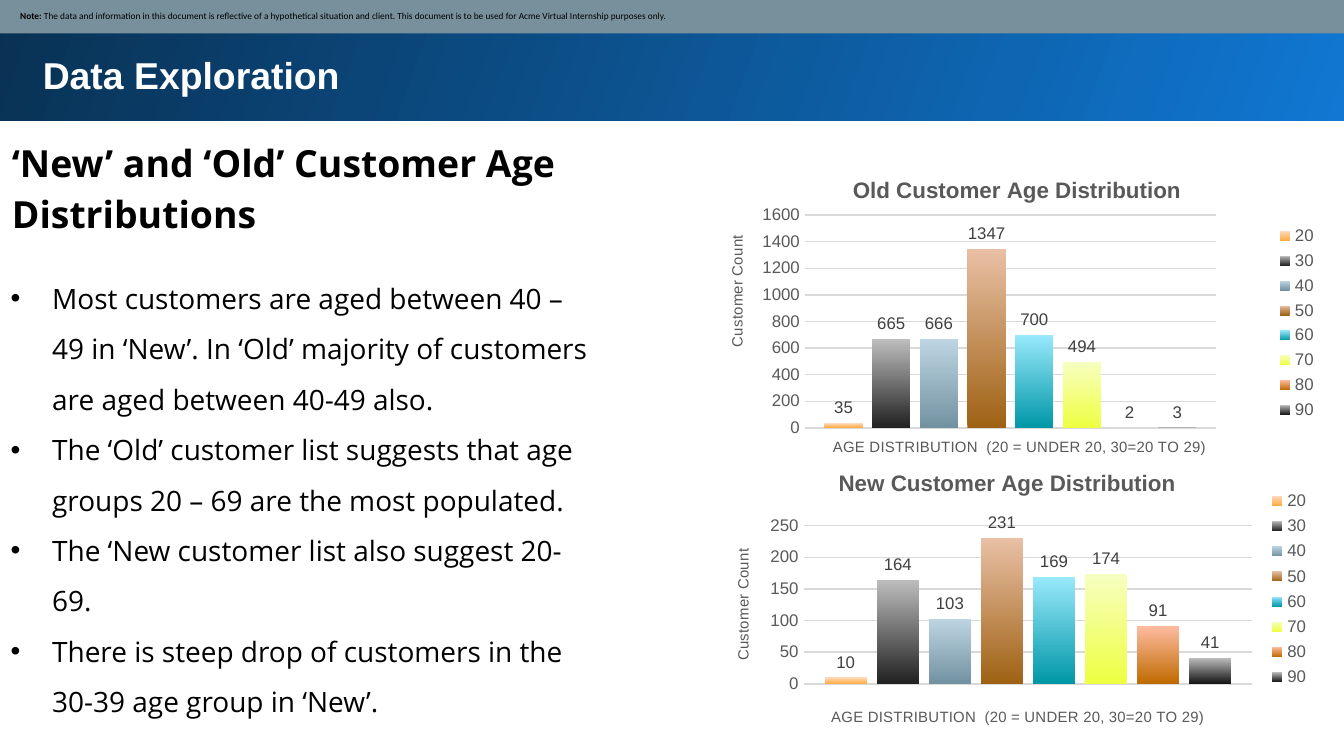
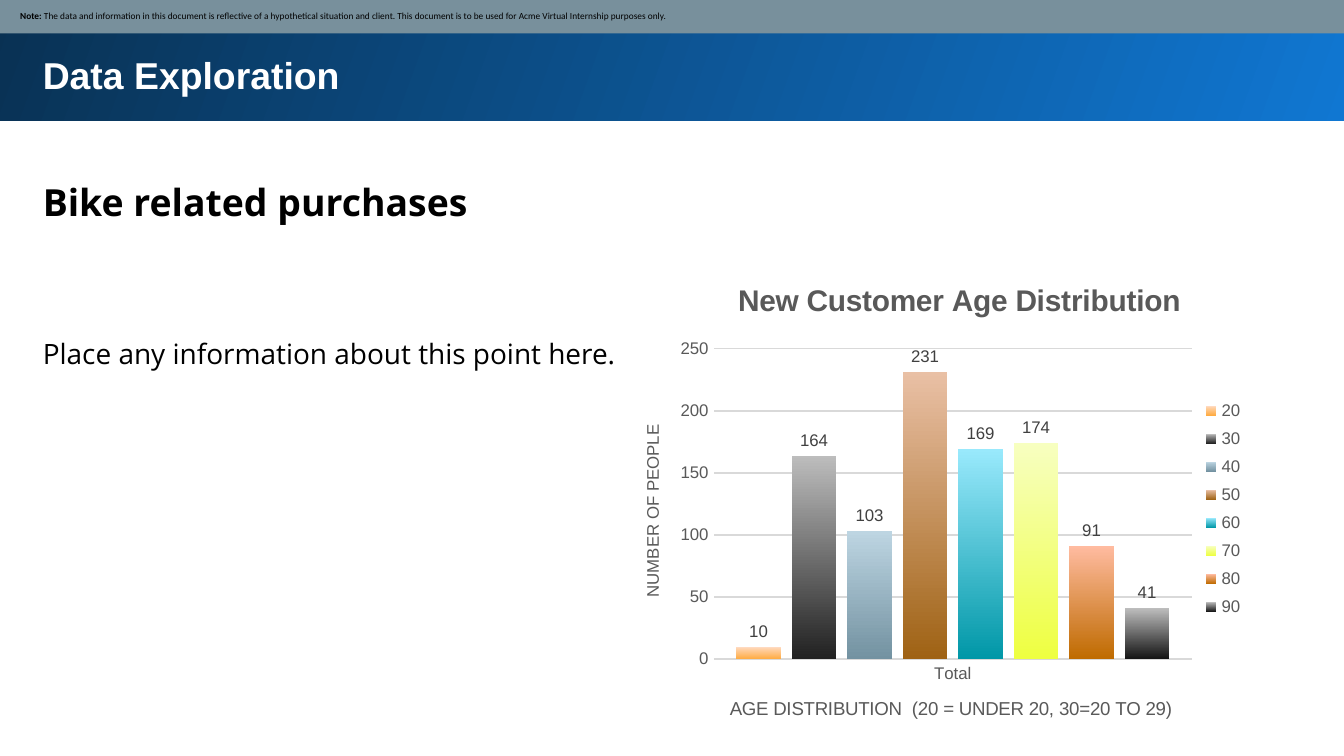
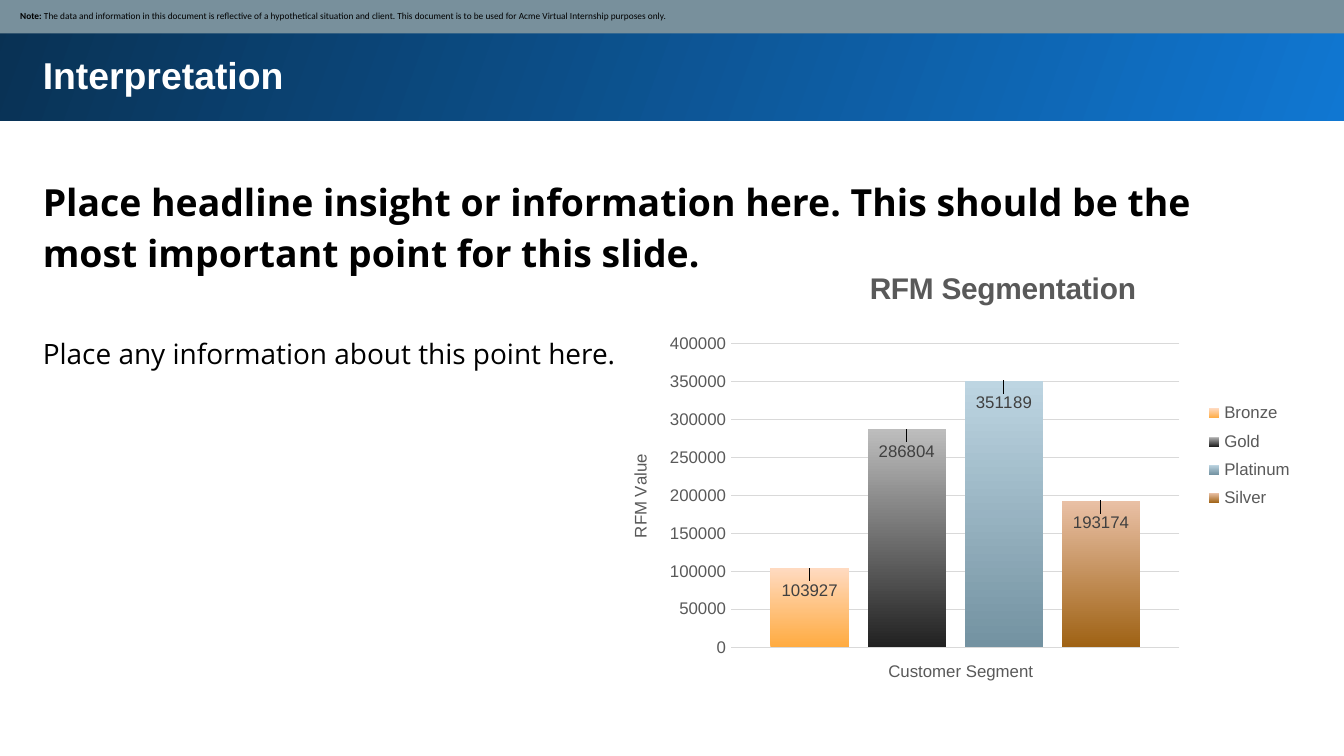
from lxml.etree import SubElement
from pptx import Presentation
from pptx.chart.data import CategoryChartData
from pptx.dml.color import RGBColor
from pptx.enum.chart import (XL_CHART_TYPE, XL_LABEL_POSITION,
                             XL_LEGEND_POSITION, XL_TICK_MARK)
from pptx.enum.shapes import MSO_SHAPE
from pptx.enum.text import MSO_ANCHOR, PP_ALIGN
from pptx.oxml import parse_xml
from pptx.oxml.ns import nsdecls, qn
from pptx.util import Inches, Pt

COLORS = {
    "white": "FFFFFF", "black": "000000", "note": "78909C",
    "band_light": "1077D2", "band_dark": "093153",
    "chart_text": "595959", "label": "404040", "grid": "D9D9D9",
}
# Bottom and top colour of each column
COLUMN_FILLS = [
    ("FFAB40", "FFDAC0"), ("212121", "BDBDBD"), ("7392A1", "BDD5E2"),
    ("9F6214", "E9C0A5"), ("0097A7", "99E9FC"), ("EEFF41", "F7FFC0"),
    ("BF6B00", "FFBBA0"), ("141414", "BDBDBD"),
]
HEADLINE = {"size": Pt(20), "name": "Open Sans", "bold": True}
BODY = {"size": Pt(15), "name": "Open Sans"}
TITLE = {"size": Pt(20), "name": "Arial", "bold": True}
NOTE = {"size": Pt(5), "name": "Calibri"}
CHART_TEXT = {"size": Pt(9), "name": "Arial"}
NOTE_TEXT = ("The data and information in this document is reflective of a "
             "hypothetical situation and client. This document is to be used "
             "for Acme Virtual Internship purposes only.")
PLACEHOLDER = "Place any information about this point here."

AGES = ["20", "30", "40", "50", "60", "70", "80", "90"]
OLD_COUNTS = [35, 665, 666, 1347, 700, 494, 2, 3]
NEW_COUNTS = [10, 164, 103, 231, 169, 174, 91, 41]
AGE_AXIS = "AGE DISTRIBUTION  (20 = UNDER 20, 30=20 TO 29)"
SEGMENTS = ["Bronze", "Gold", "Platinum", "Silver"]
RFM_VALUES = [103927, 286804, 351189, 193174]


def rgb(key):
    """Return a colour by palette name or hex string."""
    return RGBColor.from_string(COLORS.get(key, key))


def style_font(font, formats, color):
    """Set the font attributes and colour."""
    for name, value in formats.items():
        setattr(font, name, value)
    font.color.rgb = rgb(color)


def gradient(fill, start, end, angle):
    """Set a two-colour gradient; the angle runs clockwise."""
    fill.gradient()
    fill.gradient_angle = 360 - angle
    for stop, color in zip(fill.gradient_stops, (start, end)):
        stop.color.rgb = rgb(color)


def add_band(s, left, top, width, height):
    """Add a plain rectangle without line or shadow."""
    sp = s.shapes.add_shape(MSO_SHAPE.RECTANGLE, Inches(left), Inches(top),
                            Inches(width), Inches(height))
    sp.shadow.inherit = False
    sp.line.fill.background()
    return sp


def add_text(s, box, paragraphs, formats, color="black", spacing=1.15,
             bullets=False):
    """Add a wrapping text box, with bullets if asked."""
    tf = s.shapes.add_textbox(*map(Inches, box)).text_frame
    tf.word_wrap = True
    for side in ("left", "right", "top", "bottom"):
        setattr(tf, "margin_" + side, Inches(0.1))
    for i, text in enumerate(paragraphs):
        p = tf.add_paragraph() if i else tf.paragraphs[0]
        p.line_spacing = spacing
        r = p.add_run()
        r.text = text
        style_font(r.font, formats, color)
        if bullets:
            pPr = p._p.get_or_add_pPr()
            pPr.set("marL", str(Inches(0.31)))
            pPr.set("indent", str(-Inches(0.31)))
            SubElement(pPr, qn("a:buFont"), typeface="Arial")
            SubElement(pPr, qn("a:buChar"), char="•")


def add_note(s):
    """Add the disclaimer strip along the top edge."""
    sp = add_band(s, -0.01, -0.01, 10.03, 0.26)
    sp.fill.solid()
    sp.fill.fore_color.rgb = rgb("note")
    tf = sp.text_frame
    tf.word_wrap = True
    tf.vertical_anchor = MSO_ANCHOR.MIDDLE
    for side, inset in dict(left=0.16, right=0.05, top=0.05, bottom=0.05).items():
        setattr(tf, "margin_" + side, Inches(inset))
    p = tf.paragraphs[0]
    p.alignment = PP_ALIGN.LEFT
    for text, bold in (("Note: ", True), (NOTE_TEXT, False)):
        r = p.add_run()
        r.text = text
        style_font(r.font, {**NOTE, "bold": bold}, "black")


def add_base(prs, title):
    """Add a slide with title band, title and note strip."""
    s = prs.slides.add_slide(prs.slide_layouts[6])
    band = add_band(s, -0.02, -0.02, 10.05, 0.92)
    gradient(band.fill, "band_light", "band_dark", 200)
    add_text(s, (0.22, 0.29, 9.37, 0.51), [title], TITLE, "white", 1.0)
    add_note(s)
    return s


def manual_layout(position, head=""):
    """Return a chart layout element in fractions of the chart."""
    values = "".join(f'<c:{tag} val="{v}"/>' for tag, v in zip("xywh", position))
    return parse_xml(f'<c:layout {nsdecls("c")}><c:manualLayout>{head}{values}'
                     '</c:manualLayout></c:layout>')


def place(element, position, inner=False):
    """Put a title, legend or plot area at a fixed position."""
    for old in element.findall(qn("c:layout")):
        element.remove(old)
    head = '<c:layoutTarget val="inner"/>' if inner else ""
    head += '<c:xMode val="edge"/><c:yMode val="edge"/>'
    following = element.find(qn("c:barChart" if inner else "c:overlay"))
    following.addprevious(manual_layout(position, head))


def set_title(title, text, size, position, bold=False):
    """Write and place a chart or axis title."""
    p = title.text_frame.paragraphs[0]
    r = p.add_run()
    r.text = text
    style_font(r.font, {"size": Pt(size), "name": "Arial", "bold": bold},
               "chart_text")
    place(title._element, position)


def style_axes(chart, show_categories):
    """Style both axes and the grid."""
    cat, val = chart.category_axis, chart.value_axis
    for axis in (cat, val):
        axis.major_tick_mark = axis.minor_tick_mark = XL_TICK_MARK.NONE
        style_font(axis.tick_labels.font, CHART_TEXT, "chart_text")
    cat.visible = show_categories
    cat.format.line.color.rgb = rgb("grid")
    cat.format.line.width = Pt(1)
    val.format.line.fill.background()
    val.has_major_gridlines = True
    val.major_gridlines.format.line.color.rgb = rgb("grid")
    val.major_gridlines.format.line.width = Pt(0.75)


def style_series(plot, label_drop):
    """Fill the columns and label them, moved down by label_drop."""
    plot.gap_width, plot.overlap, plot.vary_by_categories = 100, -24, False
    for series, (bottom, top) in zip(plot.series, COLUMN_FILLS):
        gradient(series.format.fill, bottom, top, 270)
        labels = series.data_labels
        labels.show_value = True
        labels.position = XL_LABEL_POSITION.OUTSIDE_END
        style_font(labels.font, CHART_TEXT, "label")
        if label_drop:
            label = series.points[0].data_label
            style_font(label.font, CHART_TEXT, "label")
            label.position = XL_LABEL_POSITION.OUTSIDE_END
            idx = labels._element.find(qn("c:dLbl")).find(qn("c:idx"))
            idx.addnext(manual_layout((0, label_drop)))


def add_columns(s, box, names, values, title, val_title, cat_title, plot_area,
                legend_area, category="1", show_categories=False,
                legend=XL_LEGEND_POSITION.RIGHT, label_drop=0):
    """Add a column chart; each title is (text, size, position)."""
    data = CategoryChartData()
    data.categories = [category]
    for name, value in zip(names, values):
        data.add_series(name, [value])
    chart = s.shapes.add_chart(XL_CHART_TYPE.COLUMN_CLUSTERED,
                               *map(Inches, box), data).chart
    style_font(chart.font, {"size": Pt(10), "name": "Arial"}, "black")
    chart.has_title = True
    set_title(chart.chart_title, *title, bold=True)
    set_title(chart.value_axis.axis_title, *val_title)
    set_title(chart.category_axis.axis_title, *cat_title)
    style_axes(chart, show_categories)
    style_series(chart.plots[0], label_drop)
    chart.has_legend = True
    chart.legend.position = legend
    chart.legend.include_in_layout = False
    style_font(chart.legend.font, CHART_TEXT, "chart_text")
    place(chart.legend._element, legend_area)
    place(chart._chartSpace.chart.plotArea, plot_area, inner=True)


def add_age_slide(prs):
    """Add the comparison of old and new customer ages."""
    s = add_base(prs, "Data Exploration")
    add_text(s, (-0.01, 0.89, 5.91, 0.56),
             ["‘New’ and ‘Old’ Customer Age Distributions"], HEADLINE)
    add_text(s, (-0.02, 1.87, 4.52, 3.18), [
        "Most customers are aged between 40 – 49 in ‘New’. In ‘Old’ majority "
        "of customers are aged between 40-49 also.",
        "The ‘Old’ customer list suggests that age groups 20 – 69 are the "
        "most populated.",
        "The ‘New customer list also suggest 20-69.",
        "There is steep drop of customers in the 30-39 age group in ‘New’.",
    ], BODY, spacing=1.5, bullets=True)
    add_columns(s, (5.25, 1.28, 4.63, 2.14), AGES, OLD_COUNTS,
                ("Old Customer Age Distribution", 12, (0.23, 0)),
                ("Customer Count", 8, (0.03, 0.21)),
                (AGE_AXIS, 8, (0.2, 0.91)),
                (0.16, 0.15, 0.66, 0.74), (0.91, 0.17, 0.08, 0.71),
                legend=XL_LEGEND_POSITION.LEFT)
    add_columns(s, (5.25, 3.42, 4.57, 2.14), AGES, NEW_COUNTS,
                ("New Customer Age Distribution", 12, (0.21, 0.02)),
                ("Customer Count", 8, (0.04, 0.3)),
                (AGE_AXIS, 8, (0.2, 0.85)),
                (0.16, 0.23, 0.73, 0.55), (0.91, 0.09, 0.08, 0.72))


def add_purchase_slide(prs):
    """Add the slide on bike related purchases."""
    s = add_base(prs, "Data Exploration")
    add_text(s, (0.22, 1.18, 9.37, 0.56), ["Bike related purchases"], HEADLINE)
    add_text(s, (0.22, 2.37, 4.52, 0.48), [PLACEHOLDER], BODY)
    add_columns(s, (4.75, 1.91, 4.68, 3.61), AGES, NEW_COUNTS,
                ("New Customer Age Distribution", 16, (0.15, 0.04)),
                ("NUMBER OF PEOPLE", 9, (0, 0.34)),
                (AGE_AXIS, 10, (0.14, 0.9)),
                (0.12, 0.19, 0.76, 0.64), (0.88, 0.28, 0.1, 0.48),
                category="Total", show_categories=True)


def add_segment_slide(prs):
    """Add the slide on customer segments."""
    s = add_base(prs, "Interpretation")
    add_text(s, (0.22, 1.18, 9.37, 1.01),
             ["Place headline insight or information here. This should be the "
              "most important point for this slide."], HEADLINE)
    add_text(s, (0.22, 2.37, 4.52, 0.48), [PLACEHOLDER], BODY)
    add_columns(s, (4.66, 1.86, 5.21, 3.48), SEGMENTS, RFM_VALUES,
                ("RFM Segmentation", 16, (0.34, 0.03)),
                ("RFM Value", 9, (0, 0.43)),
                ("Customer Segment", 9, (0.37, 0.87)),
                (0.15, 0.2, 0.64, 0.65), (0.81, 0.31, 0.16, 0.26),
                label_drop=0.08)


def main():
    """Build and save the deck in 16:9."""
    prs = Presentation()
    prs.slide_width = Inches(10)
    prs.slide_height = prs.slide_width * 9 // 16
    add_age_slide(prs)
    add_purchase_slide(prs)
    add_segment_slide(prs)
    prs.save("out.pptx")


main()
